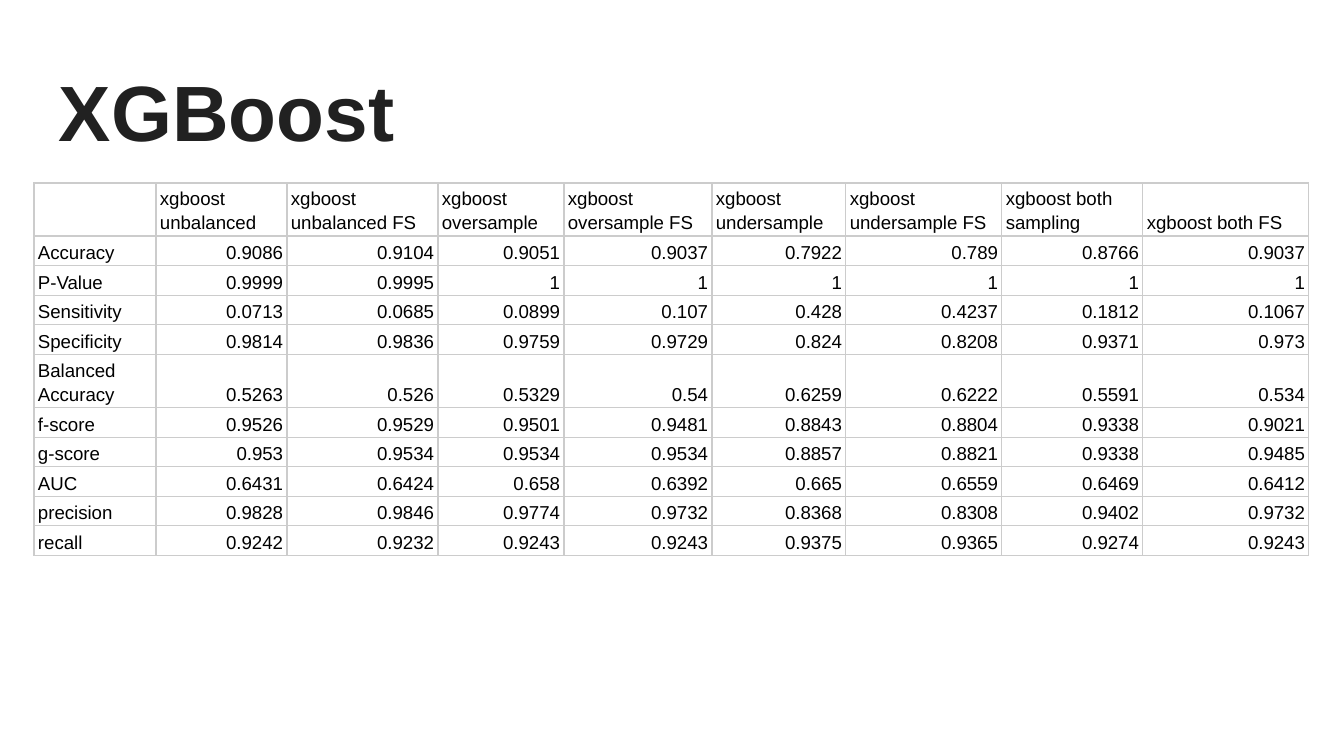
from dataclasses import dataclass
from itertools import pairwise

from lxml.etree import SubElement
from pptx import Presentation
from pptx.dml.color import RGBColor
from pptx.enum.text import MSO_ANCHOR, PP_ALIGN
from pptx.oxml.ns import qn
from pptx.util import Pt


@dataclass(frozen=True)
class Theme:
    font: str = "Arial"
    title_color: RGBColor = RGBColor(0x21, 0x21, 0x21)
    text_color: RGBColor = RGBColor(0, 0, 0)
    border_color: str = "CCCCCC"
    title_size: Pt = Pt(42)
    cell_size: Pt = Pt(10)
    border_width: Pt = Pt(0.75)


THEME = Theme()
PX_PER_INCH = 134.4


def px(length):
    return round(length * 914400 / PX_PER_INCH)


def add_borders(cell):
    properties = cell._tc.get_or_add_tcPr()
    for side in ("a:lnL", "a:lnR", "a:lnT", "a:lnB"):
        line = SubElement(properties, qn(side), w=str(THEME.border_width))
        fill = SubElement(line, qn("a:solidFill"))
        SubElement(fill, qn("a:srgbClr"), val=THEME.border_color)


METHODS = [
    "", "xgboost unbalanced", "xgboost unbalanced FS", "xgboost oversample",
    "xgboost oversample FS", "xgboost undersample", "xgboost undersample FS",
    "xgboost both sampling", "xgboost both FS",
]
SCORES = {
    "Accuracy": "0.9086 0.9104 0.9051 0.9037 0.7922 0.789 0.8766 0.9037",
    "P-Value": "0.9999 0.9995 1 1 1 1 1 1",
    "Sensitivity": "0.0713 0.0685 0.0899 0.107 0.428 0.4237 0.1812 0.1067",
    "Specificity": "0.9814 0.9836 0.9759 0.9729 0.824 0.8208 0.9371 0.973",
    "Balanced Accuracy": "0.5263 0.526 0.5329 0.54 0.6259 0.6222 0.5591 0.534",
    "f-score": "0.9526 0.9529 0.9501 0.9481 0.8843 0.8804 0.9338 0.9021",
    "g-score": "0.953 0.9534 0.9534 0.9534 0.8857 0.8821 0.9338 0.9485",
    "AUC": "0.6431 0.6424 0.658 0.6392 0.665 0.6559 0.6469 0.6412",
    "precision": "0.9828 0.9846 0.9774 0.9732 0.8368 0.8308 0.9402 0.9732",
    "recall": "0.9242 0.9232 0.9243 0.9243 0.9375 0.9365 0.9274 0.9243",
}
COLUMN_EDGES = [34, 156, 287, 438, 564, 712, 846, 1002, 1143, 1309]
ROW_EDGES = [183, 236, 266, 296, 325, 355, 408, 438, 467, 497, 526, 556]

deck = Presentation()
deck.slide_width, deck.slide_height = px(1344), px(756)
slide = deck.slides.add_slide(deck.slide_layouts[5])

title = slide.shapes.title
title.left, title.top, title.width, title.height = px(46), px(43), px(1252), px(118)
heading = title.text_frame
heading.text = "XGBoost"
heading.vertical_anchor = MSO_ANCHOR.TOP
heading.margin_left = heading.margin_right = px(13)
heading.margin_top, heading.margin_bottom = px(20), px(8)
paragraph = heading.paragraphs[0]
paragraph.alignment = PP_ALIGN.LEFT
paragraph.font.name = THEME.font
paragraph.font.size = THEME.title_size
paragraph.font.bold = True
paragraph.font.color.rgb = THEME.title_color

rows = [METHODS] + [[metric, *values.split()] for metric, values in SCORES.items()]
scores = slide.shapes.add_table(
    len(rows), len(METHODS), px(COLUMN_EDGES[0]), px(ROW_EDGES[0]),
    px(COLUMN_EDGES[-1] - COLUMN_EDGES[0]), px(ROW_EDGES[-1] - ROW_EDGES[0]),
).table
scores.first_row = scores.horz_banding = False
for column, (left, right) in zip(scores.columns, pairwise(COLUMN_EDGES)):
    column.width = px(right - left)
for row, (top, bottom) in zip(scores.rows, pairwise(ROW_EDGES)):
    row.height = px(bottom - top)

for row_index, row in enumerate(rows):
    for column_index, entry in enumerate(row):
        cell = scores.cell(row_index, column_index)
        cell.text = entry
        cell.vertical_anchor = MSO_ANCHOR.BOTTOM
        cell.margin_left = cell.margin_right = px(4)
        cell.margin_top, cell.margin_bottom = px(3), px(2)
        add_borders(cell)
        cell.fill.background()
        paragraph = cell.text_frame.paragraphs[0]
        paragraph.line_spacing = 1.15
        is_score = row_index and column_index
        paragraph.alignment = PP_ALIGN.RIGHT if is_score else PP_ALIGN.LEFT
        paragraph.font.name = THEME.font
        paragraph.font.size = THEME.cell_size
        paragraph.font.color.rgb = THEME.text_color

deck.save("out.pptx")
